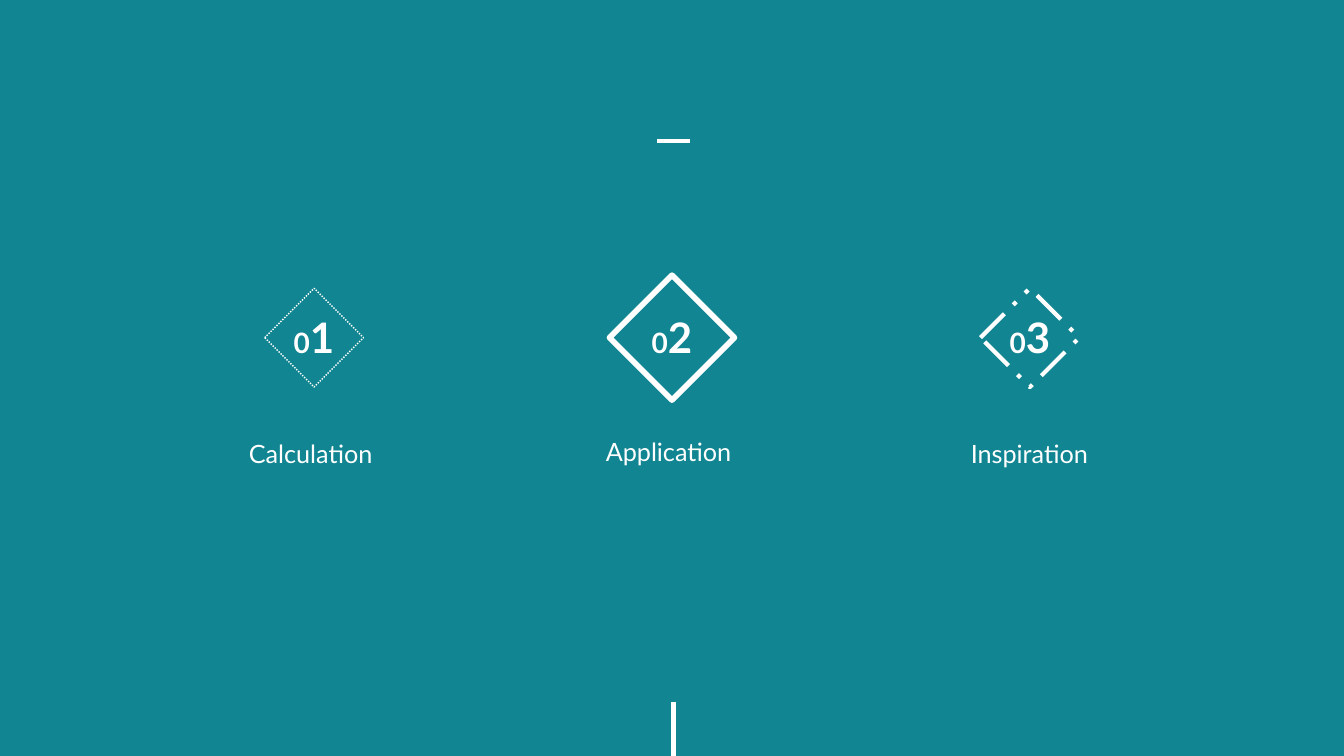
import pptx
import pptx.dml.color
import pptx.enum.dml
import pptx.enum.shapes
import pptx.enum.text
import pptx.oxml.ns
import pptx.util
from lxml import etree

Inches = pptx.util.Inches
DASH = pptx.enum.dml.MSO_LINE
ALIGN = pptx.enum.text.PP_ALIGN
THEME = {
    "background": pptx.dml.color.RGBColor.from_string("118591"),
    "ink": pptx.dml.color.RGBColor.from_string("FFFFFF"),
    "font": "Lato",
    "zero": 20,
    "digit": 30,
    "label": 18,
}
WIDTH, HEIGHT = 13.33, 7.5
CENTER = WIDTH / 2
COLUMN = 3.55
ROW = 3.35

presentation = pptx.Presentation()
presentation.slide_width = Inches(WIDTH)
presentation.slide_height = Inches(HEIGHT)
slide = presentation.slides.add_slide(presentation.slide_layouts[6])
slide.background.fill.solid()
slide.background.fill.fore_color.rgb = THEME["background"]


def add_text(runs, left, top, width, height, bold=False, align=ALIGN.LEFT):
    """Add a one-paragraph text box; runs are pairs of text and size."""
    box = slide.shapes.add_textbox(*map(Inches, (left, top, width, height)))
    frame = box.text_frame
    frame.word_wrap = True
    frame.auto_size = pptx.enum.text.MSO_AUTO_SIZE.SHAPE_TO_FIT_TEXT
    paragraph = frame.paragraphs[0]
    paragraph.alignment = align
    for text, size in runs:
        run = paragraph.add_run()
        run.text = text
        run.font.name = THEME["font"]
        run.font.size = pptx.util.Pt(size)
        run.font.bold = bold
        run.font.color.rgb = THEME["ink"]


def style_line(line, weight, dash=None):
    line.color.rgb = THEME["ink"]
    line.width = pptx.util.Pt(weight)
    if dash is not None:
        line.dash_style = dash


# Name, diamond size, line weight, dash, label left and top
steps = [
    ("Calculation", 0.98, 1, DASH.ROUND_DOT, 2.37, 4.3),
    ("Application", 1.24, 4, None, 5.91, 4.28),
    ("Inspiration", 0.98, 3, DASH.DASH_DOT_DOT, 9.53, 4.3),
]
for number, (name, size, weight, dash, label_left, label_top) in enumerate(steps, 1):
    middle = CENTER + (number - 2) * COLUMN
    diamond = slide.shapes.add_shape(
        pptx.enum.shapes.MSO_SHAPE.DIAMOND,
        Inches(middle - size / 2), Inches(ROW - size / 2), Inches(size), Inches(size))
    diamond.shadow.inherit = False
    diamond.fill.background()
    style_line(diamond.line, weight, dash)
    add_text([("0", THEME["zero"]), (str(number), THEME["digit"])],
             middle - 0.45, ROW - 0.31, 0.9, 0.61, bold=True, align=ALIGN.CENTER)
    add_text([(name, THEME["label"])], label_left, label_top, 1.51, 0.4)

# Short dash above the row, and stem running to the bottom edge
for *ends, weight in [(6.52, 1.4, 6.84, 1.4, 3), (6.68, 6.96, 6.68, HEIGHT, 4)]:
    connector = slide.shapes.add_connector(
        pptx.enum.shapes.MSO_CONNECTOR.STRAIGHT, *map(Inches, ends))
    style_line(connector.line, weight)
    etree.SubElement(connector._element.spPr, pptx.oxml.ns.qn("a:effectLst"))

presentation.save("out.pptx")
